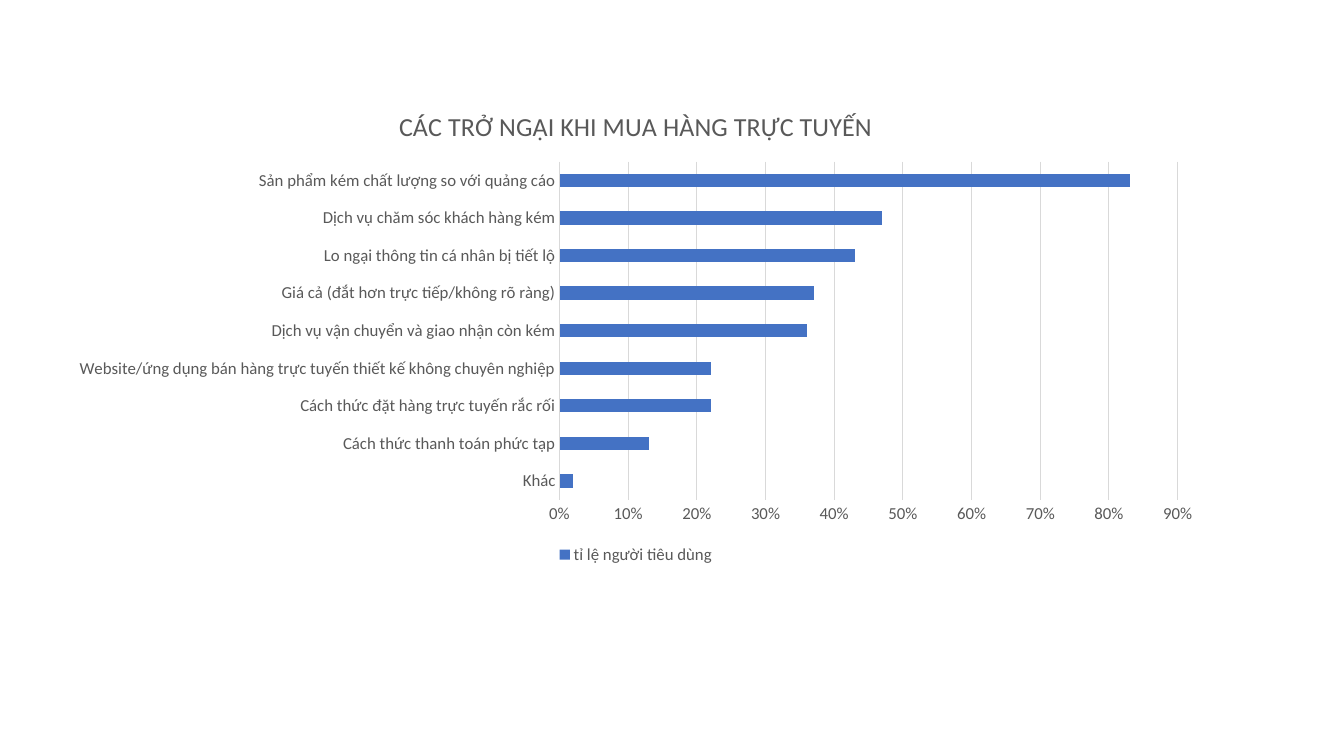
from dataclasses import dataclass

from pptx import Presentation
from pptx.chart.data import CategoryChartData
from pptx.dml.color import RGBColor
from pptx.enum.chart import XL_CHART_TYPE, XL_LEGEND_POSITION, XL_TICK_MARK
from pptx.util import Cm, Pt


@dataclass(frozen=True)
class Theme:
    """Colours, type and line sizes of the slide."""
    font: str = "Calibri"
    ink: str = "595959"
    grid: str = "D9D9D9"
    bar: str = "4472C4"
    title: float = 18.6
    label: float = 12
    line: float = 0.75


THEME = Theme()
TITLE = "CÁC TRỞ NGẠI KHI MUA HÀNG TRỰC TUYẾN"
SERIES = "tỉ lệ người tiêu dùng"
SHARES = {
    "Khác": 0.02,
    "Cách thức thanh toán phức tạp": 0.13,
    "Cách thức đặt hàng trực tuyến rắc rối": 0.22,
    "Website/ứng dụng bán hàng trực tuyến thiết kế không chuyên nghiệp": 0.22,
    "Dịch vụ vận chuyển và giao nhận còn kém": 0.36,
    "Giá cả (đắt hơn trực tiếp/không rõ ràng)": 0.37,
    "Lo ngại thông tin cá nhân bị tiết lộ": 0.43,
    "Dịch vụ chăm sóc khách hàng kém": 0.47,
    "Sản phẩm kém chất lượng so với quảng cáo": 0.83,
}


def style(font, size=THEME.label, color=THEME.ink, bold=False):
    """Set the face, size, colour and weight of a font."""
    font.name = THEME.font
    font.size = Pt(size)
    font.bold = bold
    font.color.rgb = RGBColor.from_string(color)


def write(frame, text, **form):
    """Put formatted text in a text frame."""
    run = frame.paragraphs[0].add_run()
    run.text = text
    style(run.font, **form)


def rule(line):
    """Draw a line in the thin grid style."""
    line.color.rgb = RGBColor.from_string(THEME.grid)
    line.width = Pt(THEME.line)


def set_axis(axis):
    """Format axis labels and remove tick marks."""
    axis.major_tick_mark = XL_TICK_MARK.NONE
    axis.minor_tick_mark = XL_TICK_MARK.NONE
    style(axis.tick_labels.font)


def set_axes(chart):
    """Format the category and percent axes."""
    names, scale = chart.category_axis, chart.value_axis
    set_axis(names)
    set_axis(scale)
    names.has_major_gridlines = False
    rule(names.format.line)
    scale.minimum_scale, scale.maximum_scale, scale.major_unit = 0, 0.9, 0.1
    scale.has_major_gridlines = True
    rule(scale.major_gridlines.format.line)
    scale.format.line.fill.background()
    scale.tick_labels.number_format = "0%"
    scale.tick_labels.number_format_is_linked = False


def set_bars(plot):
    """Set the gap and colour of the bars."""
    plot.gap_width = 182
    plot.vary_by_categories = False
    fill = plot.series[0].format.fill
    fill.solid()
    fill.fore_color.rgb = RGBColor.from_string(THEME.bar)


def set_key(chart):
    """Place the legend under the plot."""
    chart.has_legend = True
    chart.legend.position = XL_LEGEND_POSITION.BOTTOM
    chart.legend.include_in_layout = False
    style(chart.legend.font)


def add_bars(slide, left, top, width, height):
    """Add the titled bar chart to the slide."""
    data = CategoryChartData(number_format="0%")
    data.categories = list(SHARES)
    data.add_series(SERIES, list(SHARES.values()))
    chart = slide.shapes.add_chart(
        XL_CHART_TYPE.BAR_CLUSTERED, left, top, width, height, data).chart
    style(chart.font)
    chart.has_title = True
    write(chart.chart_title.text_frame, TITLE, size=THEME.title)
    chart.chart_title.include_in_layout = False
    set_axes(chart)
    set_bars(chart.plots[0])
    set_key(chart)


def main():
    """Build and save the slide."""
    deck = Presentation()
    deck.slide_width, deck.slide_height = Cm(33.87), Cm(19.05)
    slide = deck.slides.add_slide(deck.slide_layouts[6])
    add_bars(slide, Cm(1.42), Cm(2.24), Cm(29.21), Cm(12.09))
    deck.save("out.pptx")


if __name__ == "__main__":
    main()
